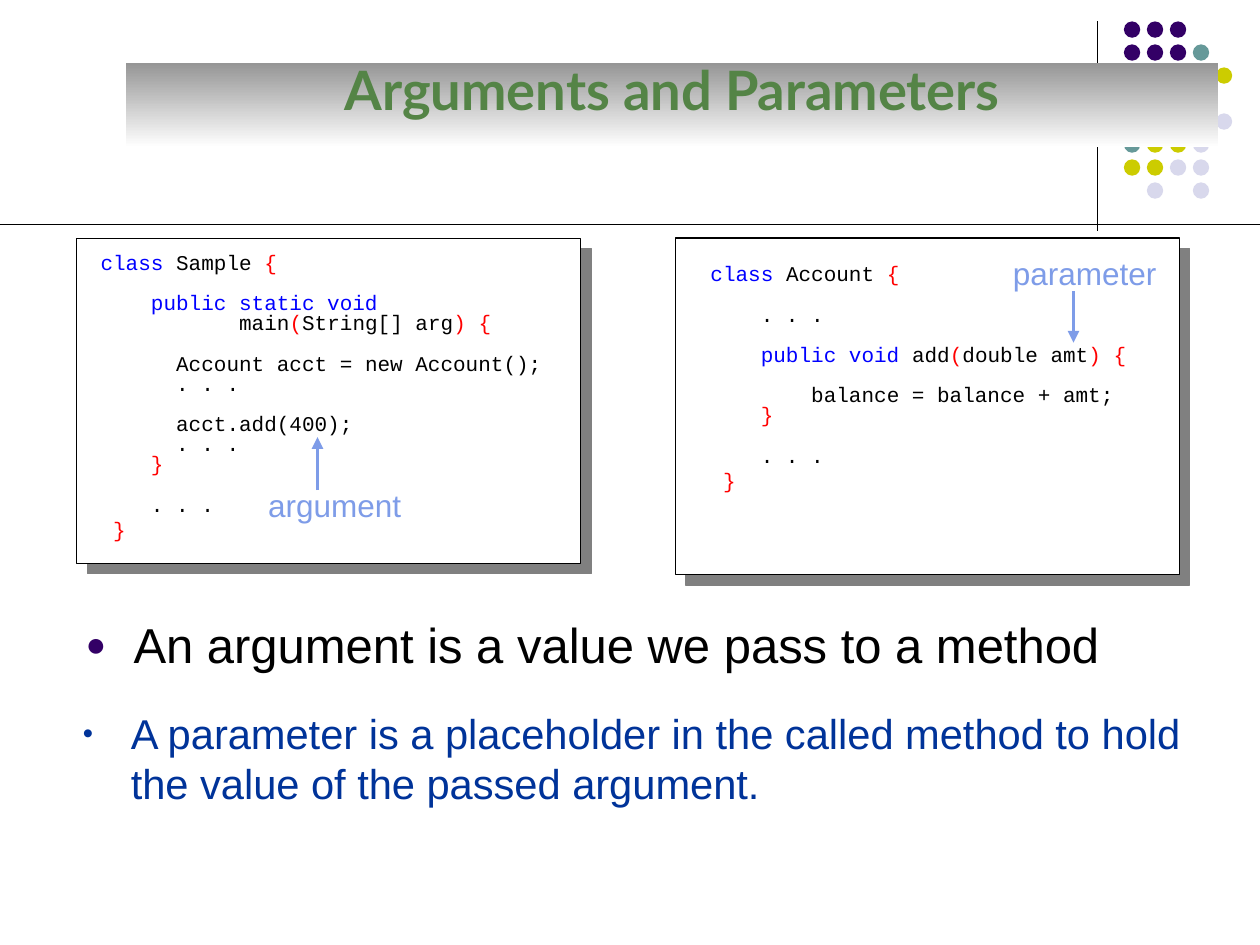
import pptx
import pptx.util
import pptx.dml.color
import pptx.enum.shapes
import pptx.enum.text
import pptx.oxml
import pptx.oxml.ns
from dataclasses import dataclass

Inches = pptx.util.Inches
Pt = pptx.util.Pt
Rgb = pptx.dml.color.RGBColor.from_string
Shape = pptx.enum.shapes.MSO_SHAPE
Fit = pptx.enum.text.MSO_AUTO_SIZE
Top = pptx.enum.text.MSO_ANCHOR.TOP
Center = pptx.enum.text.PP_ALIGN.CENTER
qn = pptx.oxml.ns.qn
space = pptx.oxml.ns.nsdecls("a")


@dataclass
class Theme:
    ink: str = "000000"
    paper: str = "FFFFFF"
    key: str = "0000FF"
    mark: str = "FF0000"
    note: str = "7E9CE8"
    navy: str = "003399"
    plum: str = "330066"
    teal: str = "669999"
    lime: str = "CCCC00"
    mist: str = "D8D8EC"
    shade: str = "808080"
    band: str = "969696"
    head: str = "548446"
    sans: str = "Arial"
    mono: str = "Courier New"
    bold: str = "Lato"
    title: float = 31
    lead: float = 28
    body: float = 23.8
    label: float = 18
    code: float = 12


theme = Theme()


def write(para, text, font, size, color):
    run = para.add_run()
    run.text = text
    run.font.name = font
    run.font.size = Pt(size)
    run.font.color.rgb = Rgb(color)
    return run


def draw(shapes, x1, y1, x2, y2, color, width):
    line = shapes.add_connector(
        pptx.enum.shapes.MSO_CONNECTOR.STRAIGHT,
        Inches(x1), Inches(y1), Inches(x2), Inches(y2))
    line.line.color.rgb = Rgb(color)
    line.line.width = Pt(width)
    line.element.spPr.append(pptx.oxml.parse_xml(f"<a:effectLst {space}/>"))
    return line


deck = pptx.Presentation()
deck.slide_width, deck.slide_height = Inches(10), Inches(7.5)
slide = deck.slides.add_slide(deck.slide_layouts[1])
shapes = slide.shapes
title, lead = slide.placeholders

draw(shapes, 8.71, 0.17, 8.71, 1.83, theme.ink, 0.75)
tints = {"p": theme.plum, "t": theme.teal, "y": theme.lime, "m": theme.mist}
rows = ["ppp", "pppt", "pptty", "ptty", "ttyym", "tyym", "yymm", " m m"]
dots = shapes.add_group_shape()
pitch = 0.73 / 4
for row, codes in enumerate(rows):
    for col, code in enumerate(codes):
        if code in tints:
            dot = dots.shapes.add_shape(
                Shape.OVAL, Inches(8.92 + col * pitch), Inches(0.17 + row * pitch),
                Inches(0.13), Inches(0.13))
            dot.shadow.inherit = False
            dot.fill.solid()
            dot.fill.fore_color.rgb = Rgb(tints[code])
            dot.line.fill.background()
draw(shapes, 0, 1.78, 10, 1.78, theme.ink, 0.75)

sample = [
    (0, 0, [("class", theme.key), (" Sample ", theme.ink), ("{", theme.mark)]),
    (4, 1, [("public static void", theme.key)]),
    (11, 0, [("main", theme.ink), ("(", theme.mark), ("String[] arg", theme.ink),
             (") {", theme.mark)]),
    (6, 1, [("Account acct = new Account();", theme.ink)]),
    (6, 0, [(". . .", theme.ink)]),
    (6, 1, [("acct.add(400);", theme.ink)]),
    (6, 0, [(". . .", theme.ink)]),
    (4, 0, [("}", theme.mark)]),
    (4, 1, [(". . .", theme.ink)]),
    (1, 0, [("}", theme.mark)]),
]
account = [
    (0, 0, [("class", theme.key), (" Account ", theme.ink), ("{", theme.mark)]),
    (4, 1, [(". . .", theme.ink)]),
    (4, 1, [("public void", theme.key), (" add", theme.ink), ("(", theme.mark),
            ("double amt", theme.ink), (") {", theme.mark)]),
    (8, 1, [("balance = balance + amt;", theme.ink)]),
    (4, 0, [("}", theme.mark)]),
    (4, 1, [(". . .", theme.ink)]),
    (1, 0, [("}", theme.mark)]),
]
panels = [
    (0.61, 2.58, (0.7, 1.97, 3.7, 2.38), sample),
    (5.36, 2.67, (5.54, 2.06, 3.5, 1.9), account),
]
for left, high, place, code in panels:
    card = shapes.add_shape(Shape.RECTANGLE, Inches(left), Inches(1.89), Inches(4), Inches(high))
    card.fill.solid()
    card.fill.fore_color.rgb = Rgb(theme.paper)
    card.line.color.rgb = Rgb(theme.ink)
    card.line.width = Pt(0.75)
    card.shadow.inherit = False
    card.element.spPr.find(qn("a:effectLst")).append(pptx.oxml.parse_xml(
        f'<a:outerShdw {space} blurRad="0" dist="{Pt(8.5)}" dir="2700000" algn="ctr" '
        f'rotWithShape="0"><a:srgbClr val="{theme.shade}"/></a:outerShdw>'))

    frame = shapes.add_textbox(*map(Inches, place)).text_frame
    frame.word_wrap = False
    frame.auto_size = Fit.SHAPE_TO_FIT_TEXT
    for row, (depth, gap, runs) in enumerate(code):
        para = frame.add_paragraph() if row else frame.paragraphs[0]
        para.line_spacing = 1.0 if row == len(code) - 1 else 0.8
        para.space_before = Pt(11.5 * gap)
        props = para._p.get_or_add_pPr()
        props.set("marL", str(Inches(depth * 0.1)))
        props.set("indent", "0")
        for text, color in runs:
            write(para, text, theme.mono, theme.code, color)

notes = [
    ("argument", 2.52, 3.89, 3.47, (2.03, 3.81, 1.32, 0.4)),
    ("parameter", 8.52, 2.31, 2.72, (7.94, 1.97, 1.4, 0.4)),
]
for text, x, start, end, place in notes:
    group = shapes.add_group_shape()
    arrow = draw(group.shapes, x, start, x, end, theme.note, 2.25)
    arrow.line._get_or_add_ln().append(
        pptx.oxml.parse_xml(f'<a:tailEnd {space} type="triangle"/>'))
    frame = group.shapes.add_textbox(*map(Inches, place)).text_frame
    frame.word_wrap = True
    frame.auto_size = Fit.NONE
    write(frame.paragraphs[0], text, theme.sans, theme.label, theme.note)

lead.left, lead.top, lead.width, lead.height = map(Inches, (0.58, 4.88, 9.33, 0.55))
more = shapes.add_textbox(Inches(0.56), Inches(5.57), Inches(9.33), Inches(0.93))
points = [
    (lead, "An argument is a value we pass to a method",
     theme.lead, theme.ink, "●", theme.plum, 0.9),
    (more, "A parameter is a placeholder in the called method to hold "
     "the value of the passed argument.",
     theme.body, theme.navy, "•", theme.navy, 1.0),
]
for box, text, size, color, sign, tint, pace in points:
    frame = box.text_frame
    frame.word_wrap = True
    frame.auto_size = Fit.NONE
    frame.vertical_anchor = Top
    para = frame.paragraphs[0]
    para.line_spacing = pace
    para.space_before = Pt(7)
    props = para._p.get_or_add_pPr()
    props.set("marL", str(Inches(0.38)))
    props.set("indent", str(Inches(-0.38)))
    for part in (f'<a:buClr {space}><a:srgbClr val="{tint}"/></a:buClr>',
                 f'<a:buSzPct {space} val="70000"/>',
                 f'<a:buFont {space} typeface="{theme.sans}"/>',
                 f'<a:buChar {space} char="{sign}"/>'):
        props.append(pptx.oxml.parse_xml(part))
    write(para, text, theme.sans, size, color)

title.left, title.top, title.width, title.height = map(Inches, (1, 0.5, 8.67, 0.67))
title.fill.gradient()
title.fill.gradient_angle = 270
for stop, color in zip(title.fill.gradient_stops, (theme.band, theme.paper)):
    stop.color.rgb = Rgb(color)
    stop.position = 0 if color == theme.band else 1
frame = title.text_frame
frame.auto_size = Fit.NONE
frame.vertical_anchor = Top
para = frame.paragraphs[0]
para.alignment = Center
para.line_spacing = 0.8
para.space_before = Pt(10)
write(para, "Arguments and Parameters", theme.bold, theme.title, theme.head).font.bold = True
shapes.element.append(title.element)

deck.save("out.pptx")
